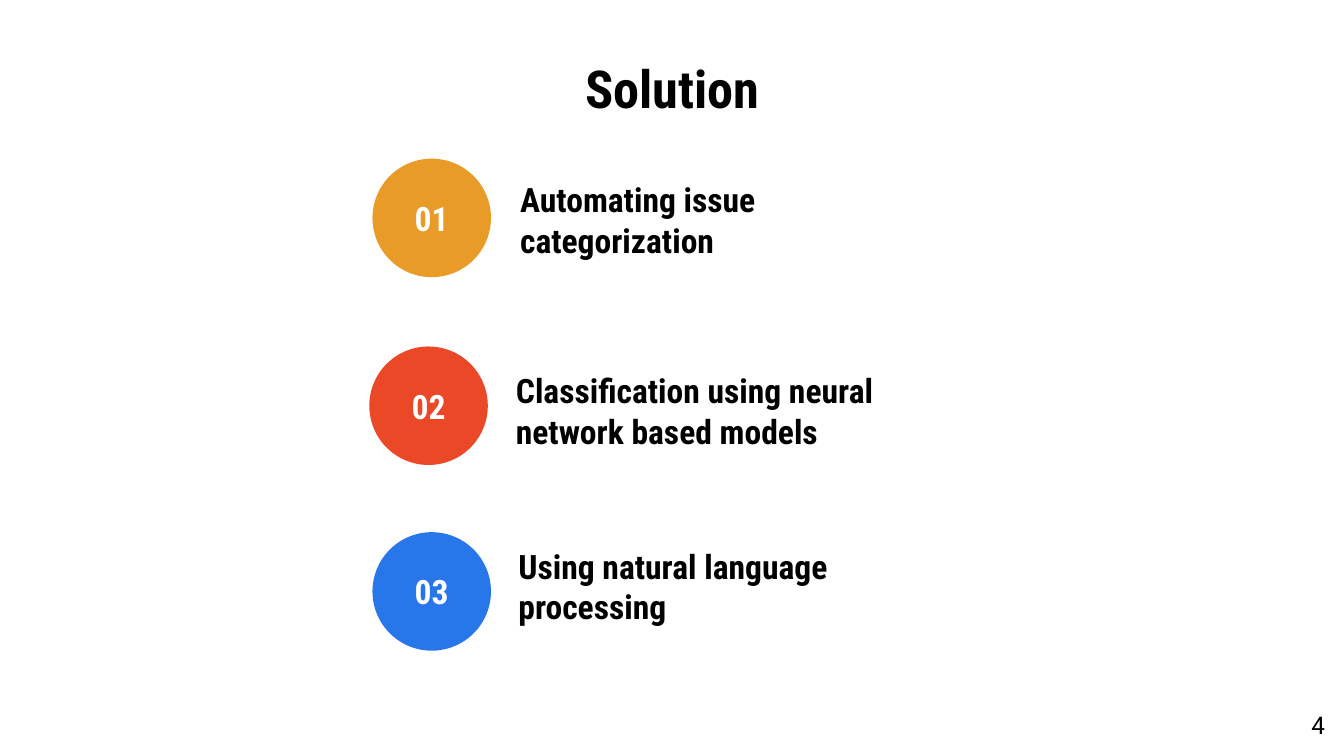
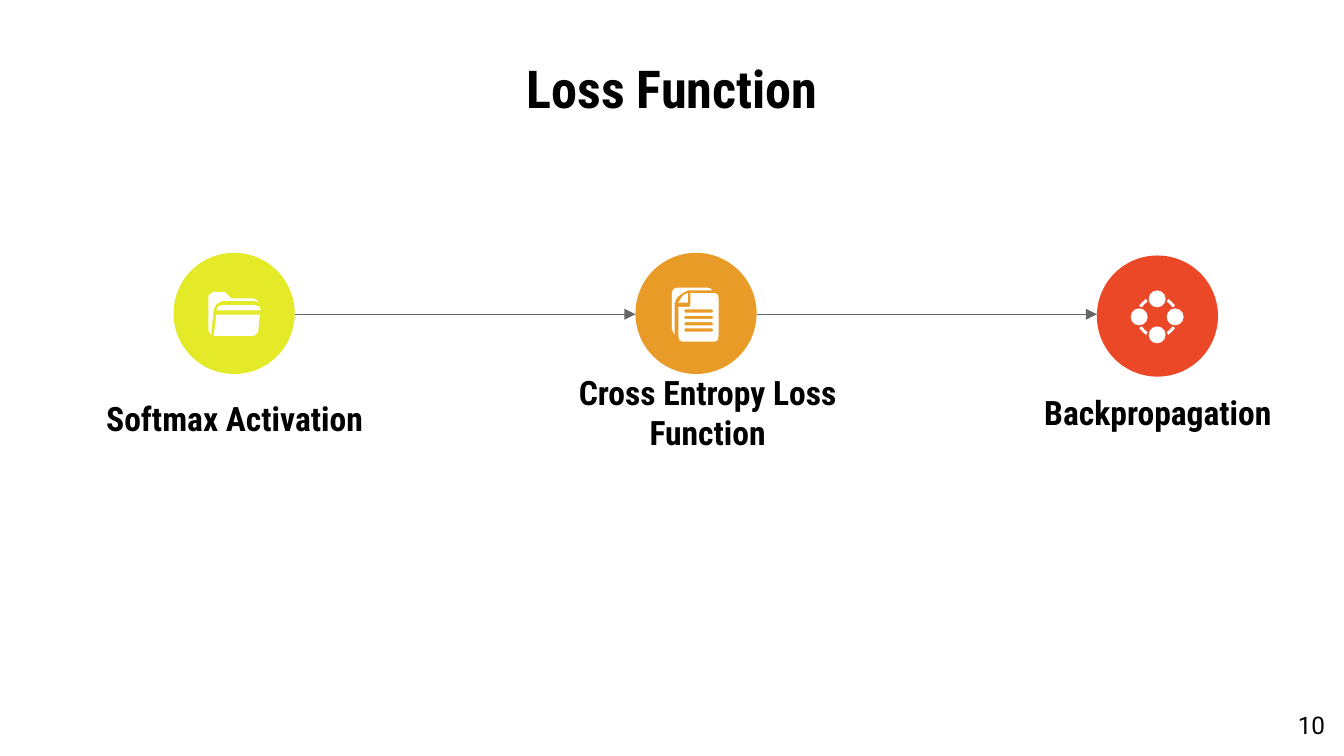
from math import cos, radians, sin

from lxml.etree import SubElement
from pptx import Presentation
from pptx.dml.color import RGBColor
from pptx.enum.shapes import MSO_CONNECTOR, MSO_SHAPE, MSO_SHAPE_TYPE as KIND
from pptx.enum.text import MSO_ANCHOR as ANCHOR, PP_ALIGN as ALIGN
from pptx.oxml.ns import qn
from pptx.util import Cm, Pt

BLACK, WHITE, GREY = "000000", "FFFFFF", "666666"
ORANGE, RED, BLUE, LIME = "E99B27", "EA4827", "2776EA", "E4EA27"
HEADING_FONT, NUMBER_FONT = "Roboto Condensed", "Roboto"


def paint(fill, color):
    """Make a fill solid in the given hex colour."""
    fill.solid()
    fill.fore_color.rgb = RGBColor.from_string(color)


def write(shape, text, size=18, color=BLACK, align=ALIGN.CENTER,
          font=HEADING_FONT, bold=True, anchor=ANCHOR.MIDDLE):
    """Put one styled paragraph into a shape or text box."""
    frame = shape.text_frame
    frame.word_wrap = True
    frame.vertical_anchor = anchor
    frame.margin_left = frame.margin_right = Cm(0.25)
    frame.margin_top = frame.margin_bottom = Cm(0.25)
    frame.text = text
    paragraph = frame.paragraphs[0]
    paragraph.alignment = align
    style = paragraph.runs[0].font
    style.name, style.size, style.bold = font, Pt(size), bold
    paint(style.fill, color)


deck = Presentation()
deck.slide_width, deck.slide_height = Cm(25.4), Cm(14.29)

# Title and page number on both slides
slides = []
for title, page in [("Solution", "4"), ("Loss Function", "10")]:
    slide = deck.slides.add_slide(deck.slide_layouts[6])
    paint(slide.background.fill, WHITE)
    write(slide.shapes.add_textbox(Cm(1.27), Cm(1.14), Cm(22.86), Cm(1.04)),
          title, size=28)
    write(slide.shapes.add_textbox(Cm(23.77), Cm(13.18), Cm(1.52), Cm(1.09)),
          page, size=13, align=ALIGN.RIGHT, font=NUMBER_FONT, bold=False,
          anchor=ANCHOR.TOP)
    slides.append(slide)
solution, loss = slides

# Solution: numbered points (circle left, top; text left, top, width)
points = [
    ("Automating issue categorization", ORANGE, 7.04, 3.0, 9.58, 3.53, 7.44),
    ("Classification using neural network based models", RED,
     6.98, 6.55, 9.5, 7.14, 7.44),
    ("Using natural language processing", BLUE,
     7.04, 10.06, 9.55, 10.46, 8.86),
]
for number, (point, color, left, top, text_left, text_top, width) in enumerate(points, 1):
    write(solution.shapes.add_textbox(Cm(text_left), Cm(text_top), Cm(width), Cm(1.24)),
          point, align=ALIGN.LEFT)
    badge = solution.shapes.add_shape(
        MSO_SHAPE.OVAL, Cm(left), Cm(top), Cm(2.24), Cm(2.24))
    paint(badge.fill, color)
    write(badge, f"{number:02d}", color=WHITE)

# Icon outlines, in hundredths of a cm from the corner of their circle;
# each part is a list of contours
folder = [
    [[(74, 74), (66, 81), (66, 147), (71, 155), (76, 107), (81, 97), (91, 91),
      (155, 91), (160, 94), (157, 89), (150, 86), (109, 86), (99, 76), (97, 74)]],
    [[(91, 99), (84, 102), (81, 109), (165, 109), (163, 102), (155, 99)]],
    [[(81, 117), (76, 157), (152, 157), (160, 150), (163, 117)]],
]
text_lines = [[(94, y), (145, y), (147, y + 3), (145, y + 6), (94, y + 6), (92, y + 3)]
              for y in range(107, 144, 12)]
document = [
    [[(79, 66), (72, 68), (69, 74), (69, 145), (74, 155), (74, 94), (79, 84),
      (89, 76), (99, 71), (145, 71), (143, 68), (137, 66)]],
    [[(104, 76), (104, 97), (102, 102), (81, 102), (81, 157), (83, 165), (89, 168),
      (150, 168), (156, 165), (157, 157), (157, 86), (156, 79), (150, 76)]] + text_lines,
    [[(99, 76), (91, 79), (84, 89), (81, 94), (99, 94)]],
]
hub_x, hub_y, node_radius = 114, 116, 16
network = []
for middle in range(45, 360, 90):
    edge = [(40, middle + turn) for turn in (-13, 0, 13)]
    edge += [(34, middle + turn) for turn in (13, 0, -13)]
    network.append([[(hub_x + radius * cos(radians(angle)),
                      hub_y + radius * sin(radians(angle))) for radius, angle in edge]])

# Loss function: three steps (circle left, top; label left, top, width)
steps = [
    ("Softmax Activation", LIME, folder, 3.28, 4.78, 1.73, 7.44, 5.41),
    ("Cross Entropy Loss Function", ORANGE, document, 12.01, 4.78, 10.16, 7.34, 6.43),
    ("Backpropagation", RED, network, 20.73, 4.83, 19.18, 7.34, 5.41),
]
diameter = 2.29
for step, color, icon, left, top, label_left, label_top, width in steps:
    circle = loss.shapes.add_shape(
        MSO_SHAPE.OVAL, Cm(left), Cm(top), Cm(diameter), Cm(diameter))
    paint(circle.fill, color)
    for contours in icon:
        outline = loss.shapes.build_freeform(*contours[0][0], scale=Cm(0.01))
        outline.add_line_segments(contours[0][1:])
        for hole in contours[1:]:
            outline.move_to(*hole[0])
            outline.add_line_segments(hole[1:])
        paint(outline.convert_to_shape(Cm(left), Cm(top)).fill, WHITE)
    write(loss.shapes.add_textbox(Cm(label_left), Cm(label_top), Cm(width), Cm(0.91)), step)

# Nodes of the network icon, inside the last circle
for across, down in [(0, -1), (-1, 0), (1, 0), (0, 1)]:
    node_left = left + (hub_x + 34 * across - node_radius) / 100
    node_top = top + (hub_y + 34 * down - node_radius) / 100
    node = loss.shapes.add_shape(MSO_SHAPE.OVAL, Cm(node_left), Cm(node_top),
                                 Cm(node_radius / 50), Cm(node_radius / 50))
    paint(node.fill, WHITE)

# Arrows from each step to the next
for step, following in zip(steps, steps[1:]):
    arrow = loss.shapes.add_connector(
        MSO_CONNECTOR.STRAIGHT, Cm(step[3] + diameter), Cm(5.94), Cm(following[3]), Cm(5.94))
    arrow.line.width = Pt(0.75)
    paint(arrow.line.fill, GREY)
    properties = arrow.element.spPr
    SubElement(properties.find(qn("a:ln")), qn("a:tailEnd"), type="triangle")
    SubElement(properties, qn("a:effectLst"))

# Flat look: no outlines or shadows
for slide in slides:
    for shape in slide.shapes:
        if shape.shape_type in (KIND.AUTO_SHAPE, KIND.FREEFORM):
            shape.line.fill.background()
            shape.shadow.inherit = False

deck.save("out.pptx")
